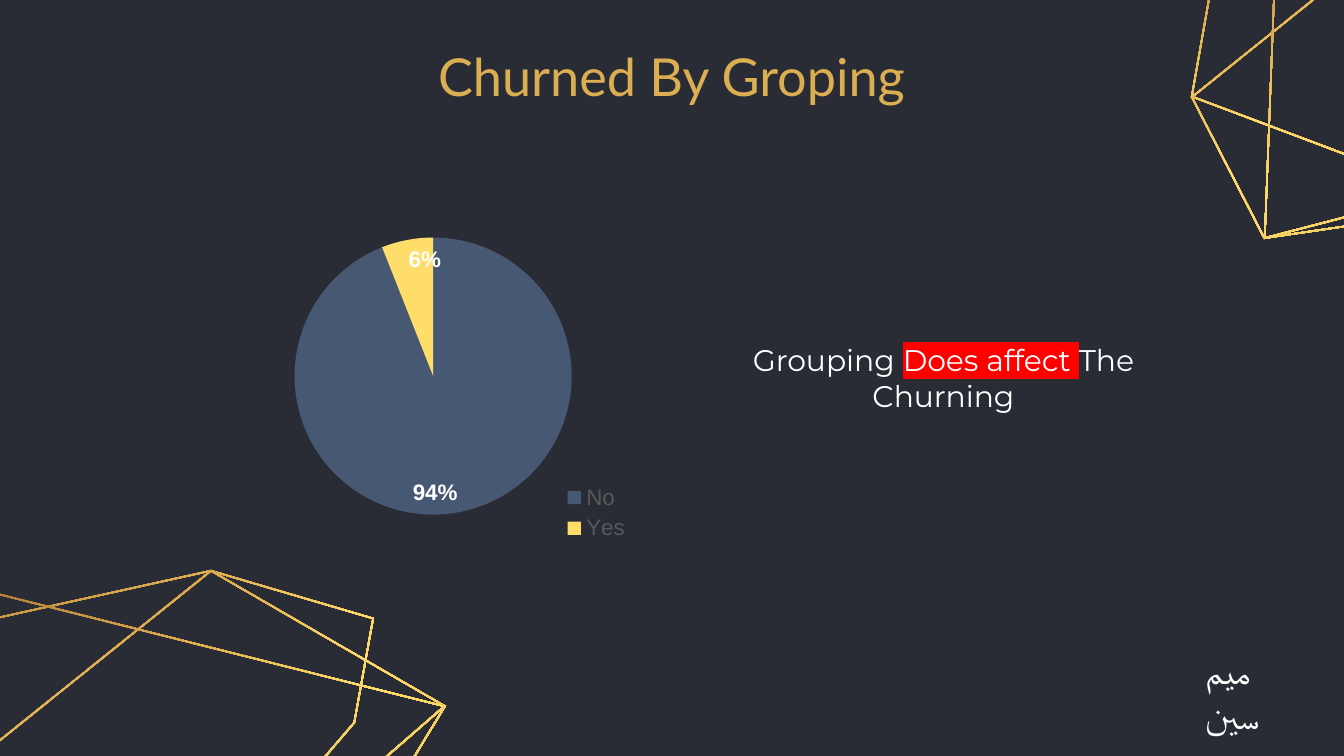
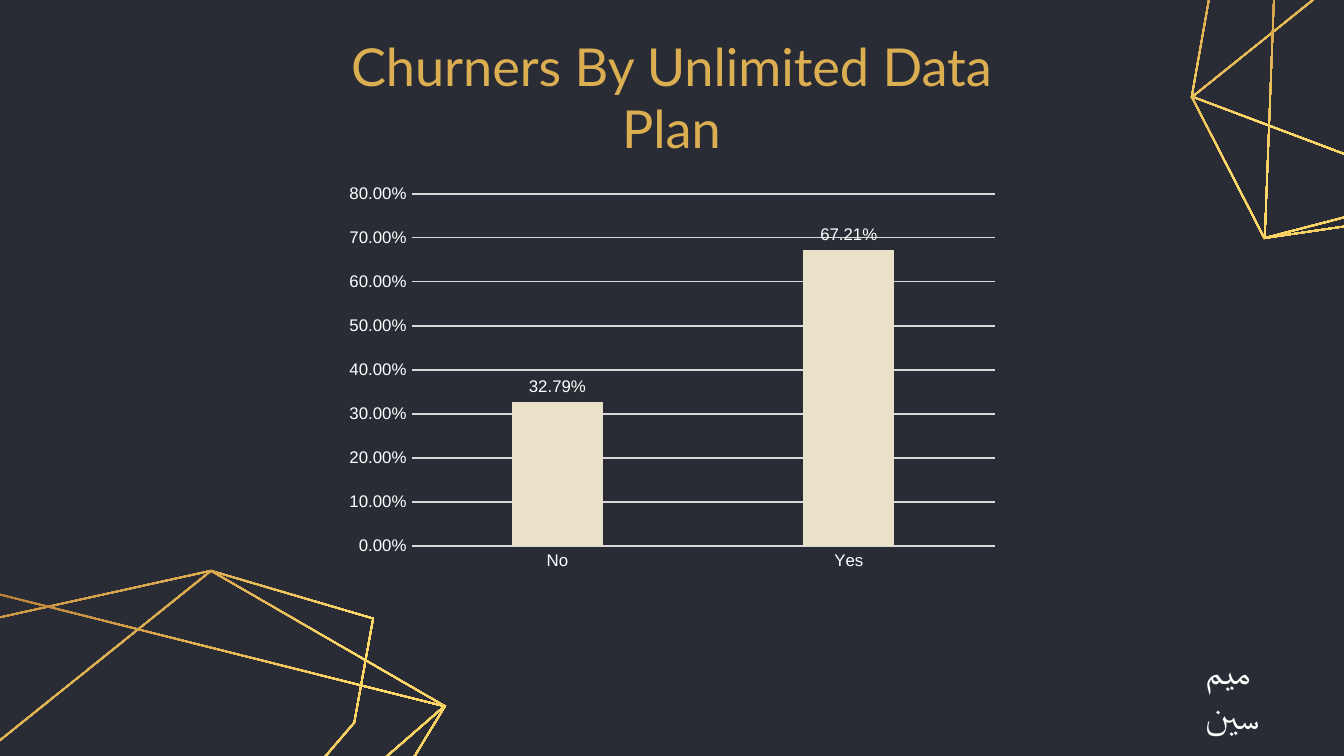
import copy
import math

import pptx
import pptx.chart.data
import pptx.dml.color
import pptx.enum.chart
import pptx.enum.text
import pptx.oxml
import pptx.oxml.ns
import pptx.util

PX = 9144000 / 1344
COLORS = {
    "night": "292C35",
    "gold": "DCAE52",
    "bronze": "AF7132",
    "yellow": "FFDD6B",
    "white": "FFFFFF",
    "slate": "475972",
    "legend": "595959",
    "grid": "D9D9D9",
    "cream": "E9E2C9",
    "alert": "FF0000",
}
GEM_FACETS = [
    [(-144, 855), (-106, 640), (211, 570), (374, 618), (355, 723), (148, 965)],
    [(-71, 997), (-144, 855), (211, 570), (446, 706), (148, 965)],
    [(-71, 997), (-55, 580), (446, 706), (333, 892)],
]
GEM_OFFSETS = [(0, 0), (1335, -758)]
STRAND = 1.5


def px(*lengths):
    return [round(length * PX) for length in lengths]


def rgb(name):
    return pptx.dml.color.RGBColor.from_string(COLORS[name])


def style(font, size, color, family="Arial", bold=False):
    font.size = pptx.util.Pt(size)
    font.color.rgb = rgb(color)
    font.name = family
    font.bold = bold


def inset(corners):
    normals = []
    for (x1, y1), (x2, y2) in zip(corners, corners[1:] + corners[:1]):
        length = math.hypot(x2 - x1, y2 - y1)
        normals.append(((y1 - y2) / length, (x2 - x1) / length))
    inner = []
    for i, (x, y) in enumerate(corners):
        (ax, ay), (bx, by) = normals[i - 1], normals[i]
        reach = STRAND / (1 + ax * bx + ay * by)
        inner.append((x + reach * (ax + bx), y + reach * (ay + by)))
    return inner


def fill_gold(shape):
    shape.fill.gradient()
    stop_list = shape._element.find(".//" + pptx.oxml.ns.qn("a:gsLst"))
    stop_list.append(copy.deepcopy(stop_list[0]))
    stops = zip(shape.fill.gradient_stops, (0, 0.5, 1), ("bronze", "yellow", "gold"))
    for stop, position, color in stops:
        stop.position = position
        stop.color.rgb = rgb(color)
    shape.fill.gradient_angle = 300


def add_facet(slide, corners):
    outer = [px(*corner) for corner in corners]
    inner = [px(*corner) for corner in inset(corners)]
    builder = slide.shapes.build_freeform(*outer[0])
    builder.add_line_segments(outer[1:])
    builder.move_to(*inner[0])
    builder.add_line_segments(inner[1:])
    facet = builder.convert_to_shape()
    facet.shadow.inherit = False
    fill_gold(facet)
    facet.line.fill.background()


def add_text(slide, box, pieces, size, color, family, centered=True):
    frame = slide.shapes.add_textbox(*px(*box)).text_frame
    frame.word_wrap = True
    paragraph = frame.paragraphs[0]
    if centered:
        frame.vertical_anchor = pptx.enum.text.MSO_ANCHOR.MIDDLE
        frame.margin_left = frame.margin_right = pptx.util.Inches(0.1)
        frame.margin_top = frame.margin_bottom = pptx.util.Inches(0.1)
        paragraph.alignment = pptx.enum.text.PP_ALIGN.CENTER
    for piece in pieces:
        paragraph.add_run().text = piece
    style(paragraph.font, size, color, family)
    return paragraph


def highlight(run, color):
    mark = pptx.oxml.parse_xml(
        f'<a:highlight {pptx.oxml.ns.nsdecls("a")}>'
        f'<a:srgbClr val="{COLORS[color]}"/></a:highlight>'
    )
    run._r.get_or_add_rPr().append(mark)


def add_chart(slide, kind, box, values, number_format):
    data = pptx.chart.data.CategoryChartData(number_format=number_format)
    data.categories = ["No", "Yes"]
    data.add_series("Series 1", values)
    chart = slide.shapes.add_chart(kind, *px(*box), data).chart
    chart.has_title = False
    chart.has_legend = False
    chart.font.name = "Arial"
    chart.font.size = pptx.util.Pt(10)
    chart.plots[0].vary_by_categories = False
    return chart


def place(part, index, x, y, w, h, target=""):
    for old in part.findall(pptx.oxml.ns.qn("c:layout")):
        part.remove(old)
    sides = "".join(
        f'<c:{side} val="{value}"/>' for side, value in zip("xywh", (x, y, w, h))
    )
    part.insert(index, pptx.oxml.parse_xml(
        f'<c:layout {pptx.oxml.ns.nsdecls("c")}><c:manualLayout>{target}'
        f'<c:xMode val="edge"/><c:yMode val="edge"/>{sides}'
        "</c:manualLayout></c:layout>"
    ))


def add_group_pie(slide):
    kinds = pptx.enum.chart
    chart = add_chart(slide, kinds.XL_CHART_TYPE.PIE, (274, 198, 398, 360), (94, 6), "General")
    chart.plots[0].vary_by_categories = True
    for i, color in enumerate(("slate", "yellow")):
        slice_format = chart.series[0].points[i].format
        slice_format.fill.solid()
        slice_format.fill.fore_color.rgb = rgb(color)
        slice_format.line.fill.background()
    labels = chart.series[0].data_labels
    labels.show_value = False
    labels.show_percentage = True
    labels.number_format = "0%"
    labels.number_format_is_linked = False
    labels.position = kinds.XL_LABEL_POSITION.INSIDE_END
    style(labels.font, 12, "white", bold=True)
    chart.has_legend = True
    chart.legend.position = kinds.XL_LEGEND_POSITION.RIGHT
    chart.legend.include_in_layout = False
    style(chart.legend.font, 12, "legend")
    plot_area = chart._chartSpace.chart.plotArea
    place(plot_area, 0, 0.05, 0.11, 0.7, 0.77, '<c:layoutTarget val="inner"/>')
    place(chart.legend._element, 1, 0.72, 0.78, 0.18, 0.19)


def add_plan_columns(slide):
    kinds = pptx.enum.chart
    chart = add_chart(slide, kinds.XL_CHART_TYPE.COLUMN_CLUSTERED,
                      (336, 176, 672, 403), (0.3279, 0.6721), "0.00%")
    chart.font.color.rgb = rgb("white")
    plot = chart.plots[0]
    plot.gap_width = 219
    plot.overlap = -27
    columns = plot.series[0]
    columns.format.fill.solid()
    columns.format.fill.fore_color.rgb = rgb("cream")
    labels = columns.data_labels
    labels.show_value = True
    labels.number_format = "0.00%"
    labels.number_format_is_linked = False
    labels.position = kinds.XL_LABEL_POSITION.OUTSIDE_END
    style(labels.font, 9, "white")
    answers, share = chart.category_axis, chart.value_axis
    for axis in (answers, share):
        axis.major_tick_mark = kinds.XL_TICK_MARK.NONE
        axis.minor_tick_mark = kinds.XL_TICK_MARK.NONE
        style(axis.tick_labels.font, 9, "white")
    share.minimum_scale = 0
    share.maximum_scale = 0.8
    share.major_unit = 0.1
    share.tick_labels.number_format = "0.00%"
    share.tick_labels.number_format_is_linked = False
    share.format.line.fill.background()
    for line in (answers.format.line, share.major_gridlines.format.line):
        line.color.rgb = rgb("grid")
        line.width = pptx.util.Pt(0.75)


def add_slide(deck, title, title_top):
    slide = deck.slides.add_slide(deck.slide_layouts[6])
    slide.background.fill.solid()
    slide.background.fill.fore_color.rgb = rgb("night")
    for dx, dy in GEM_OFFSETS:
        for facet in GEM_FACETS:
            add_facet(slide, [(x + dx, y + dy) for x, y in facet])
    add_text(slide, (293, title_top, 757, 63), [title], 28, "gold", "Lato")
    add_text(slide, (1192, 641, 126, 59), ["ميم سين"], 20, "white", "Lato", centered=False)
    return slide


def main():
    deck = pptx.Presentation()
    deck.slide_width, deck.slide_height = px(1344, 756)

    grouping = add_slide(deck, "Churned By Groping", 44)
    finding = add_text(grouping, (730, 352, 427, 51),
                       ["Grouping ", "Does affect ", "The Churning"],
                       16, "white", "Montserrat")
    highlight(finding.runs[1], "alert")
    add_group_pie(grouping)

    data_plan = add_slide(deck, "Churners By Unlimited Data Plan", 65)
    add_plan_columns(data_plan)

    deck.save("out.pptx")


if __name__ == "__main__":
    main()
